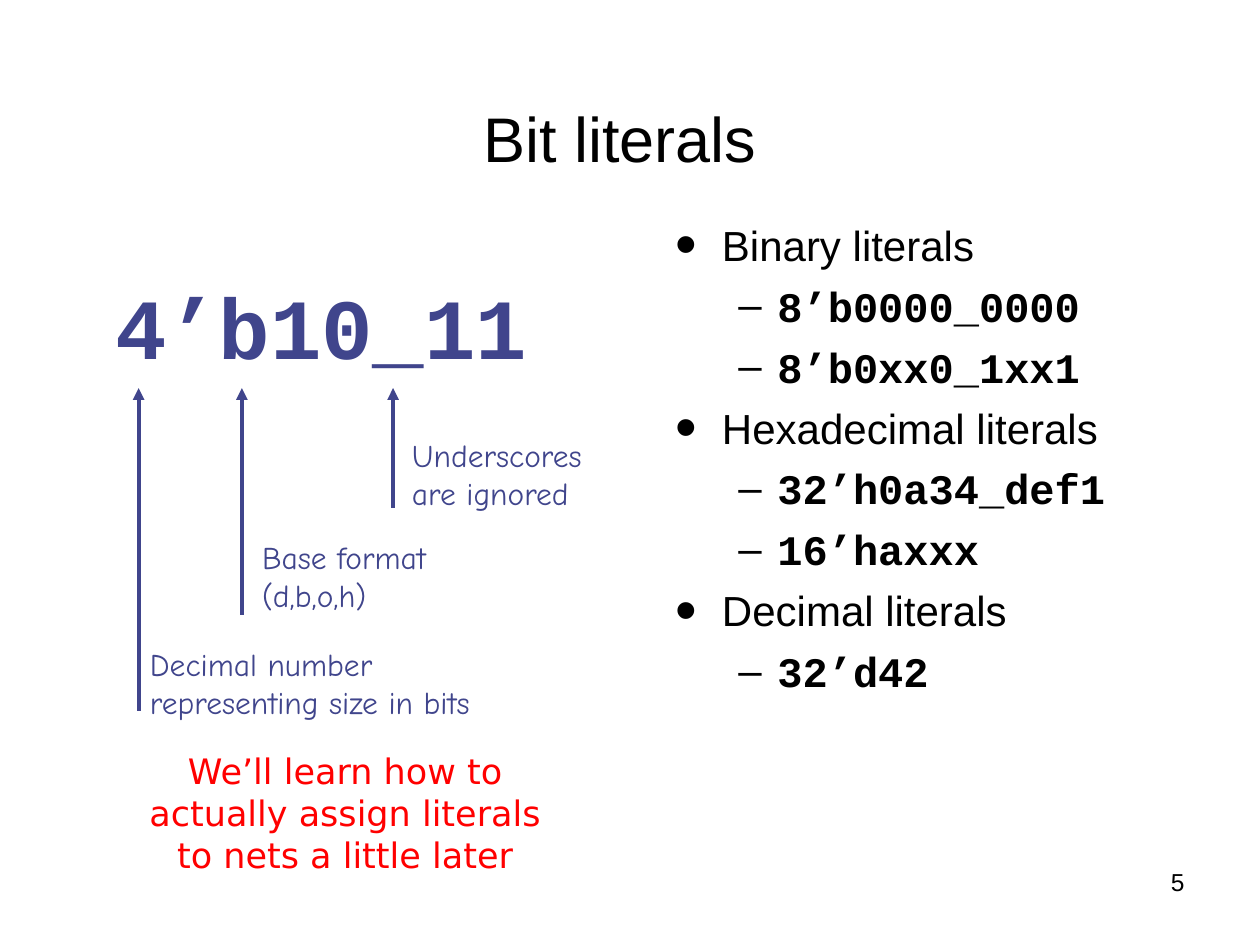
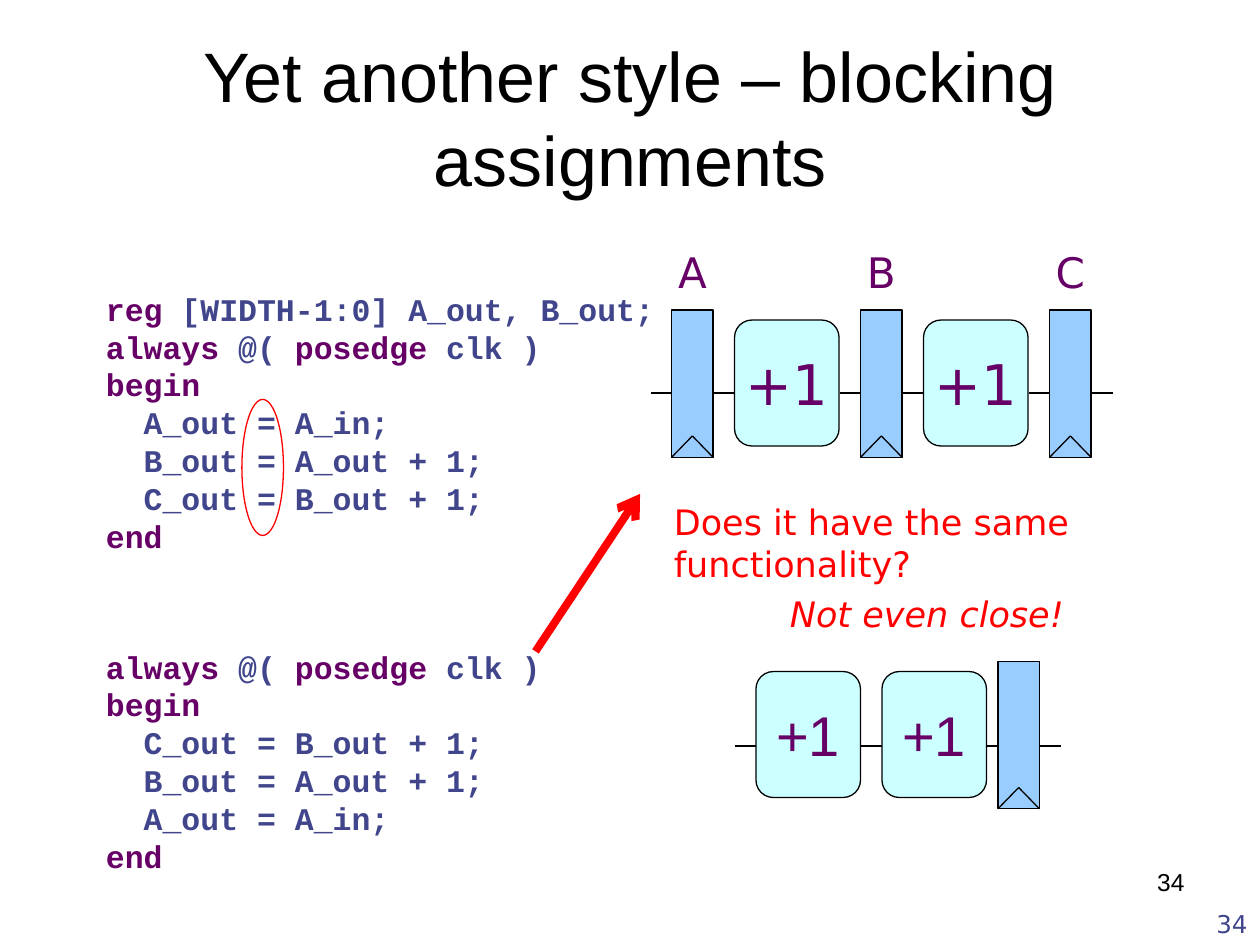
from dataclasses import dataclass
from lxml.etree import SubElement
from pptx import Presentation
from pptx.dml.color import RGBColor
from pptx.enum.shapes import MSO_CONNECTOR, MSO_SHAPE
from pptx.enum.text import MSO_ANCHOR, MSO_AUTO_SIZE, PP_ALIGN
from pptx.oxml.ns import qn
from pptx.util import Inches, Pt


@dataclass(frozen=True)
class Theme:
    black: str = "000000"
    blue: str = "40458C"
    plum: str = "660066"
    red: str = "FF0000"
    sky: str = "99CCFF"
    ice: str = "CCFFFF"
    sans: str = "Arial"
    mono: str = "Courier New"
    hand: str = "Comic Neue"
    wide: str = "DejaVu Sans"
    tiny: float = 14
    small: float = 18
    note: float = 20
    text: float = 24
    sign: float = 32
    head: float = 36
    large: float = 40
    huge: float = 49
    hair: float = 0.75
    stem: float = 2.25
    thick: float = 4.5


THEME = Theme()


@dataclass(frozen=True)
class Box:
    left: float
    top: float
    width: float
    height: float


@dataclass(frozen=True)
class Style:
    size: float
    font: str
    color: str
    bold: bool = False
    slant: bool = False


@dataclass(frozen=True)
class Label:
    text: str
    box: Box
    style: Style
    align: PP_ALIGN = PP_ALIGN.LEFT
    inset: tuple[float, float] = (0.1, 0.05)
    wrap: bool = True
    anchor: MSO_ANCHOR = MSO_ANCHOR.TOP


@dataclass(frozen=True)
class Line:
    start: tuple[float, float]
    end: tuple[float, float]
    color: str = THEME.black
    width: float = THEME.hair
    tip: str = ""


@dataclass(frozen=True)
class Row:
    text: str
    code: bool = True


HAND = Style(THEME.small, THEME.hand, THEME.blue)
NOTE = Style(THEME.note, THEME.wide, THEME.red)
PAGE = Style(THEME.tiny, THEME.sans, THEME.black)
CODE = Style(THEME.small, THEME.mono, THEME.blue, bold=True)
KEY = Style(THEME.small, THEME.mono, THEME.plum, bold=True)
NAME = Style(THEME.text, THEME.wide, THEME.plum)
FLUSH = (0, 0)

ROWS = [
    Row("Binary literals", False),
    Row("8’b0000_0000"),
    Row("8’b0xx0_1xx1"),
    Row("Hexadecimal literals", False),
    Row("32’h0a34_def1"),
    Row("16’haxxx"),
    Row("Decimal literals", False),
    Row("32’d42"),
]
FIRST = """*reg* [WIDTH-1:0] A_out, B_out;
*always* @( *posedge* clk )
*begin*
  A_out = A_in;
  B_out = A_out + 1;
  C_out = B_out + 1;
*end*"""
LAST = """*always* @( *posedge* clk )
*begin*
  C_out = B_out + 1;
  B_out = A_out + 1;
  A_out = A_in;
*end*"""


def paint(font, style: Style) -> None:
    font.size = Pt(style.size)
    font.name = style.font
    font.bold = style.bold
    font.italic = style.slant
    font.color.rgb = RGBColor.from_string(style.color)


def place(shape, box: Box) -> None:
    shape.left, shape.top = Inches(box.left), Inches(box.top)
    shape.width, shape.height = Inches(box.width), Inches(box.height)


def frame_up(frame, inset: tuple[float, float], wrap: bool = True,
             anchor: MSO_ANCHOR = MSO_ANCHOR.TOP) -> None:
    frame.margin_left = frame.margin_right = Inches(inset[0])
    frame.margin_top = frame.margin_bottom = Inches(inset[1])
    frame.auto_size = MSO_AUTO_SIZE.NONE
    frame.word_wrap = wrap
    frame.vertical_anchor = anchor


def write(frame, text: str, style: Style, align: PP_ALIGN) -> None:
    frame.text = text
    for para in frame.paragraphs:
        para.alignment = align
        for run in para.runs:
            paint(run.font, style)


def add_box(slide, box: Box):
    return slide.shapes.add_textbox(Inches(box.left), Inches(box.top),
                                    Inches(box.width), Inches(box.height))


def add_label(slide, label: Label) -> None:
    frame = add_box(slide, label.box).text_frame
    frame_up(frame, label.inset, label.wrap, label.anchor)
    write(frame, label.text, label.style, label.align)


def add_title(slide, text: str, box: Box, size: float) -> None:
    title = slide.shapes.title
    place(title, box)
    frame_up(title.text_frame, (0.1, 0.05), anchor=MSO_ANCHOR.MIDDLE)
    write(title.text_frame, text, Style(size, THEME.sans, THEME.black), PP_ALIGN.CENTER)


def add_page(slide, text: str) -> None:
    add_label(slide, Label(text, Box(7.17, 6.83, 2.33, 0.52), PAGE, PP_ALIGN.RIGHT))


def add_line(slide, line: Line) -> None:
    link = slide.shapes.add_connector(MSO_CONNECTOR.STRAIGHT,
                                      *map(Inches, line.start + line.end))
    link.line.color.rgb = RGBColor.from_string(line.color)
    link.line.width = Pt(line.width)
    if line.tip:
        SubElement(link.line._get_or_add_ln(), qn("a:tailEnd"), type=line.tip)
    SubElement(link._element.spPr, qn("a:effectLst"))


def add_form(slide, kind: MSO_SHAPE, box: Box, fill: str = "", edge: str = THEME.black):
    form = slide.shapes.add_shape(kind, Inches(box.left), Inches(box.top),
                                  Inches(box.width), Inches(box.height))
    form.shadow.inherit = False
    if fill:
        form.fill.solid()
        form.fill.fore_color.rgb = RGBColor.from_string(fill)
    else:
        form.fill.background()
    form.line.color.rgb = RGBColor.from_string(edge)
    form.line.width = Pt(THEME.hair)
    return form


def add_latch(slide, left: float, top: float) -> None:
    wide, tall, notch = 0.33, 1.17, 0.17
    add_form(slide, MSO_SHAPE.RECTANGLE, Box(left, top, wide, tall), THEME.sky)
    peak = (left + wide / 2, top + tall - notch)
    add_line(slide, Line((left, top + tall), peak))
    add_line(slide, Line(peak, (left + wide, top + tall)))


def add_step(slide, left: float, top: float, font: str) -> None:
    step = add_form(slide, MSO_SHAPE.ROUNDED_RECTANGLE, Box(left, top, 0.83, 1), THEME.ice)
    frame_up(step.text_frame, (0.1, 0.05), False, MSO_ANCHOR.MIDDLE)
    write(step.text_frame, "+1", Style(THEME.sign, font, THEME.plum), PP_ALIGN.CENTER)


def add_wires(slide, spans: list[tuple[float, float]], level: float) -> None:
    for start, end in spans:
        add_line(slide, Line((start, level), (end, level)))


def add_code(slide, source: str, box: Box) -> None:
    frame = add_box(slide, box).text_frame
    frame_up(frame, (0.17, 0.17))
    for index, line in enumerate(source.split("\n")):
        para = frame.add_paragraph() if index else frame.paragraphs[0]
        for part, piece in enumerate(line.split("*")):
            if piece:
                run = para.add_run()
                run.text = piece
                paint(run.font, KEY if part % 2 else CODE)


def add_bullet(para, code: bool) -> None:
    props = para._p.get_or_add_pPr()
    props.set("marL", str(Inches(0.81 if code else 0.37)))
    props.set("indent", str(Inches(-0.31 if code else -0.37)))
    tint = SubElement(props, qn("a:buClr"))
    SubElement(tint, qn("a:srgbClr"), val=THEME.black)
    SubElement(props, qn("a:buSzPct"), val="100000" if code else "147000")
    SubElement(props, qn("a:buFont"), typeface=THEME.sans)
    SubElement(props, qn("a:buChar"), char="–" if code else "•")


def add_list(slide, rows: list[Row], box: Box) -> None:
    body = slide.placeholders[1]
    place(body, box)
    frame = body.text_frame
    frame_up(frame, (0.1, 0.05))
    frame.text = "\n".join(row.text for row in rows)
    for index, (para, row) in enumerate(zip(frame.paragraphs, rows)):
        para.level = int(row.code)
        add_bullet(para, row.code)
        para.space_before = Pt(6 if index else 0)
        font = THEME.mono if row.code else THEME.sans
        paint(para.runs[0].font, Style(THEME.text, font, THEME.black, row.code))


def build_bits(deck) -> None:
    slide = deck.slides.add_slide(deck.slide_layouts[1])
    add_title(slide, "Bit literals", Box(0.67, 0.59, 8.5, 1), THEME.head)
    add_list(slide, ROWS, Box(5.26, 1.69, 4.27, 4.13))
    for left, foot in ((1.1, 5.64), (1.92, 4.88), (3.12, 4.03)):
        add_line(slide, Line((left, foot), (left, 3.08), THEME.blue, THEME.stem, "triangle"))
    labels = [
        Label("4’b10_11", Box(0.92, 2.17, 3.57, 0.82),
              Style(THEME.huge, THEME.mono, THEME.blue, bold=True), inset=FLUSH),
        Label("Underscores\nare ignored", Box(3.27, 3.46, 1.44, 0.6), HAND,
              inset=FLUSH, wrap=False),
        Label("Base format\n(d,b,o,h)", Box(2.08, 4.27, 1.31, 0.6), HAND,
              inset=FLUSH, wrap=False),
        Label("Decimal number representing size in bits", Box(1.19, 5.12, 3.02, 0.6),
              HAND, inset=FLUSH),
        Label("We’ll learn how to actually assign literals to nets a little later",
              Box(0.98, 5.9, 3.52, 1.1), NOTE, PP_ALIGN.CENTER),
    ]
    for label in labels:
        add_label(slide, label)
    add_page(slide, "5")


def build_block(deck) -> None:
    slide = deck.slides.add_slide(deck.slide_layouts[5])
    add_title(slide, "Yet another style – blocking assignments",
              Box(0.5, 0.3, 9, 1.25), THEME.large)
    add_code(slide, FIRST, Box(0.67, 2.13, 4.75, 2.73))
    for index, name in enumerate("ABC"):
        left = 5.33 + 1.5 * index
        add_latch(slide, left, 2.46)
        add_label(slide, Label(name, Box(left - 0.04, 1.91, 0.41, 0.5), NAME,
                               PP_ALIGN.CENTER, wrap=False))
        add_wires(slide, [(left - 0.16, left), (left + 0.34, left + 0.5)], 3.12)
        if name != "C":
            add_step(slide, left + 0.5, 2.54, THEME.wide)
    add_label(slide, Label("Does it have the same functionality?",
                           Box(5.25, 3.92, 3.96, 0.77), NOTE))
    add_form(slide, MSO_SHAPE.OVAL, Box(1.92, 3.17, 0.33, 1.08), edge=THEME.red)
    add_latch(slide, 7.92, 5.25)
    for left in (6, 7):
        add_step(slide, left, 5.33, THEME.sans)
    add_wires(slide, [(5.83, 6), (6.83, 7), (7.83, 7.92), (8.25, 8.42)], 5.92)
    add_label(slide, Label("Not even close!", Box(6.17, 4.65, 2.42, 0.44),
                           Style(THEME.note, THEME.wide, THEME.red, slant=True)))
    add_line(slide, Line((4.25, 5.17), (5.08, 3.92), THEME.red, THEME.thick, "arrow"))
    add_code(slide, LAST, Box(0.67, 4.97, 4.75, 2.13))
    add_label(slide, Label("34", Box(7.92, 7, 2.08, 0.5),
                           Style(THEME.tiny, THEME.wide, THEME.blue),
                           PP_ALIGN.RIGHT, anchor=MSO_ANCHOR.BOTTOM))
    add_page(slide, "34")


def main() -> None:
    deck = Presentation()
    deck.slide_width, deck.slide_height = Inches(10), Inches(7.5)
    build_bits(deck)
    build_block(deck)
    deck.save("out.pptx")


if __name__ == "__main__":
    main()
